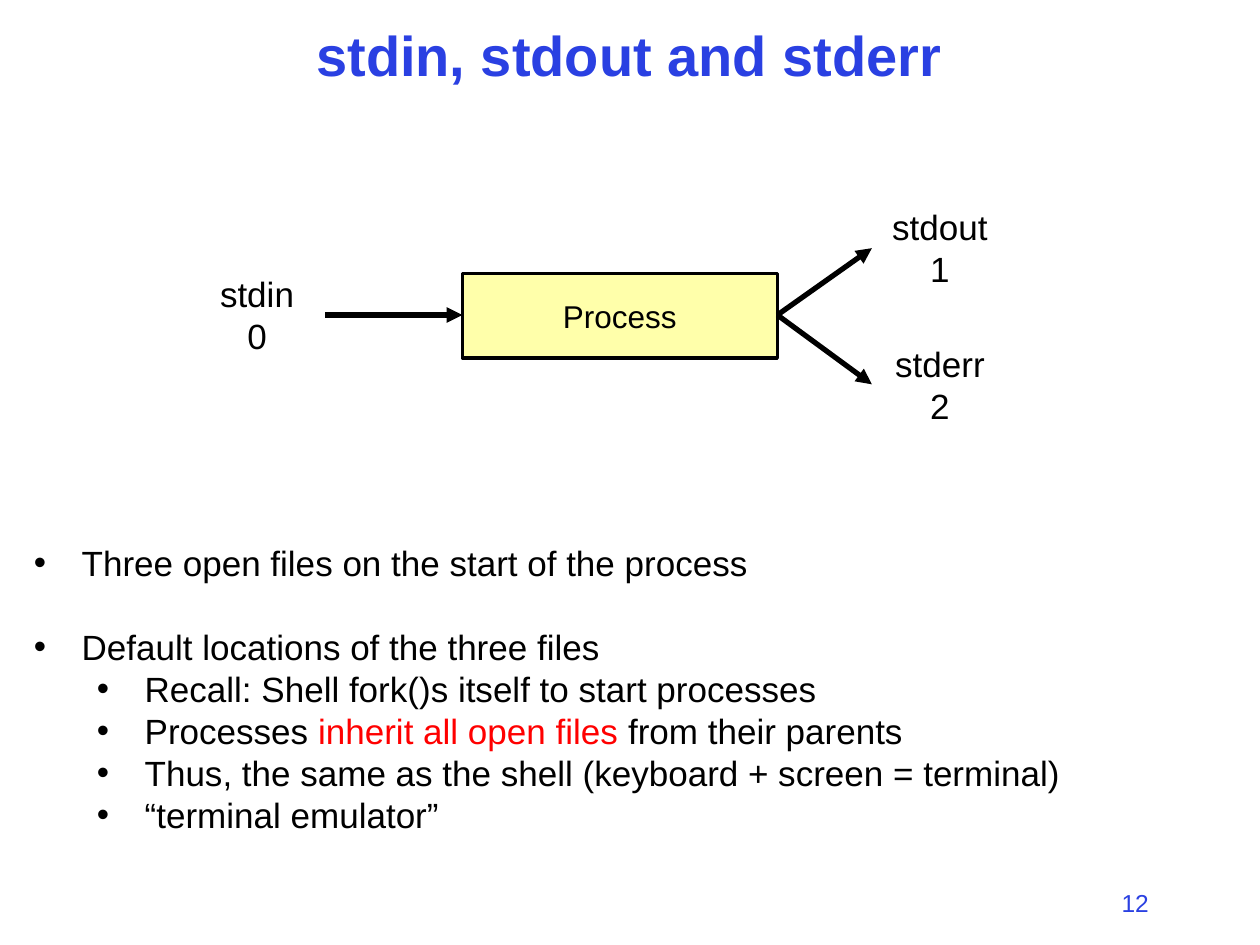
from pptx import Presentation
from pptx.dml.color import RGBColor
from pptx.enum.shapes import MSO_CONNECTOR, MSO_SHAPE
from pptx.enum.text import MSO_ANCHOR, PP_ALIGN
from pptx.oxml.ns import qn
from pptx.util import Inches, Pt
from lxml.etree import SubElement

COLORS = {"blue": "2A40E2", "black": "000000", "red": "FF0000", "yellow": "FFFFAA"}
LINE_HEIGHT = Pt(24)
BULLETS = [
    (0, 0, [("Three open files on the start of the process", "black")]),
    (0, 24, [("Default locations of the three files", "black")]),
    (1, 0, [("Recall: Shell fork()s itself to start processes", "black")]),
    (1, 0, [("Processes ", "black"), ("inherit all open files ", "red"),
            ("from their parents", "black")]),
    (1, 0, [("Thus, the same as the shell (keyboard + screen = terminal)", "black")]),
    (1, 0, [("“terminal emulator”", "black")]),
]


def color(name):
    return RGBColor.from_string(COLORS[name])


def add_span(para, text, size=20, fill="black", bold=False):
    span = para.add_run()
    span.text = text
    span.font.name = "Arial"
    span.font.size = Pt(size)
    span.font.bold = bold
    span.font.color.rgb = color(fill)


def write_lines(frame, lines, spacing=None, **style):
    for index, text in enumerate(lines):
        para = frame.add_paragraph() if index else frame.paragraphs[0]
        para.alignment = PP_ALIGN.CENTER
        para.line_spacing = spacing
        add_span(para, text, **style)


def add_box(page, left, top, width, height, wrap=True, anchor=MSO_ANCHOR.TOP):
    box = page.shapes.add_textbox(Inches(left), Inches(top), Inches(width), Inches(height))
    box.text_frame.word_wrap = wrap
    box.text_frame.vertical_anchor = anchor
    return box.text_frame


def add_stream(page, left, top, name, number):
    write_lines(add_box(page, left, top, 1.08, 0.77), [name, number], spacing=LINE_HEIGHT)


def add_process(page):
    box = page.shapes.add_shape(
        MSO_SHAPE.RECTANGLE, Inches(3.67), Inches(2.17), Inches(2.5), Inches(0.67))
    box.shadow.inherit = False
    box.fill.solid()
    box.fill.fore_color.rgb = color("yellow")
    box.line.color.rgb = color("black")
    box.line.width = Pt(2)
    box.text_frame.vertical_anchor = MSO_ANCHOR.MIDDLE
    write_lines(box.text_frame, ["Process"], size=18)


def add_arrow(page, start, end):
    arrow = page.shapes.add_connector(
        MSO_CONNECTOR.STRAIGHT, *(Inches(value) for value in start + end))
    arrow.line.color.rgb = color("black")
    arrow.line.width = Pt(3)
    SubElement(arrow.line._get_or_add_ln(), qn("a:tailEnd"), type="triangle")
    SubElement(arrow._element.spPr, qn("a:effectLst"))


def add_bullets(page):
    frame = add_box(page, 0.17, 4.25, 8.4, 2.79, wrap=False)
    for index, (level, gap, spans) in enumerate(BULLETS):
        para = frame.add_paragraph() if index else frame.paragraphs[0]
        para.level = level
        para.line_spacing = LINE_HEIGHT
        para.space_before = Pt(gap)
        properties = para._p.get_or_add_pPr()
        properties.set("marL", str(Inches(0.38 + 0.5 * level)))
        properties.set("indent", str(Inches(-0.38)))
        SubElement(properties, qn("a:buFont"), typeface="Arial")
        SubElement(properties, qn("a:buChar"), char="•")
        for text, fill in spans:
            add_span(para, text, fill=fill)


def main():
    """Build the slide on the three standard streams of a process."""
    deck = Presentation()
    deck.slide_width, deck.slide_height = Inches(10), Inches(7.5)
    page = deck.slides.add_slide(deck.slide_layouts[6])
    write_lines(add_box(page, 8.79, 7, 0.44, 0.33, wrap=False), ["12"], size=14, fill="blue")
    title = add_box(page, 1.08, 0.17, 7.83, 0.58, anchor=MSO_ANCHOR.MIDDLE)
    write_lines(title, ["stdin, stdout and stderr"],
                spacing=0.9, size=32, fill="blue", bold=True)
    add_bullets(page)
    add_process(page)
    add_stream(page, 1.5, 2.11, "stdin", "0")
    add_stream(page, 6.92, 1.58, "stdout", "1")
    add_stream(page, 6.92, 2.67, "stderr", "2")
    add_arrow(page, (2.58, 2.5), (3.67, 2.5))
    for height in (1.97, 3.05):
        add_arrow(page, (6.17, 2.5), (6.92, height))
    deck.save("out.pptx")


if __name__ == "__main__":
    main()
